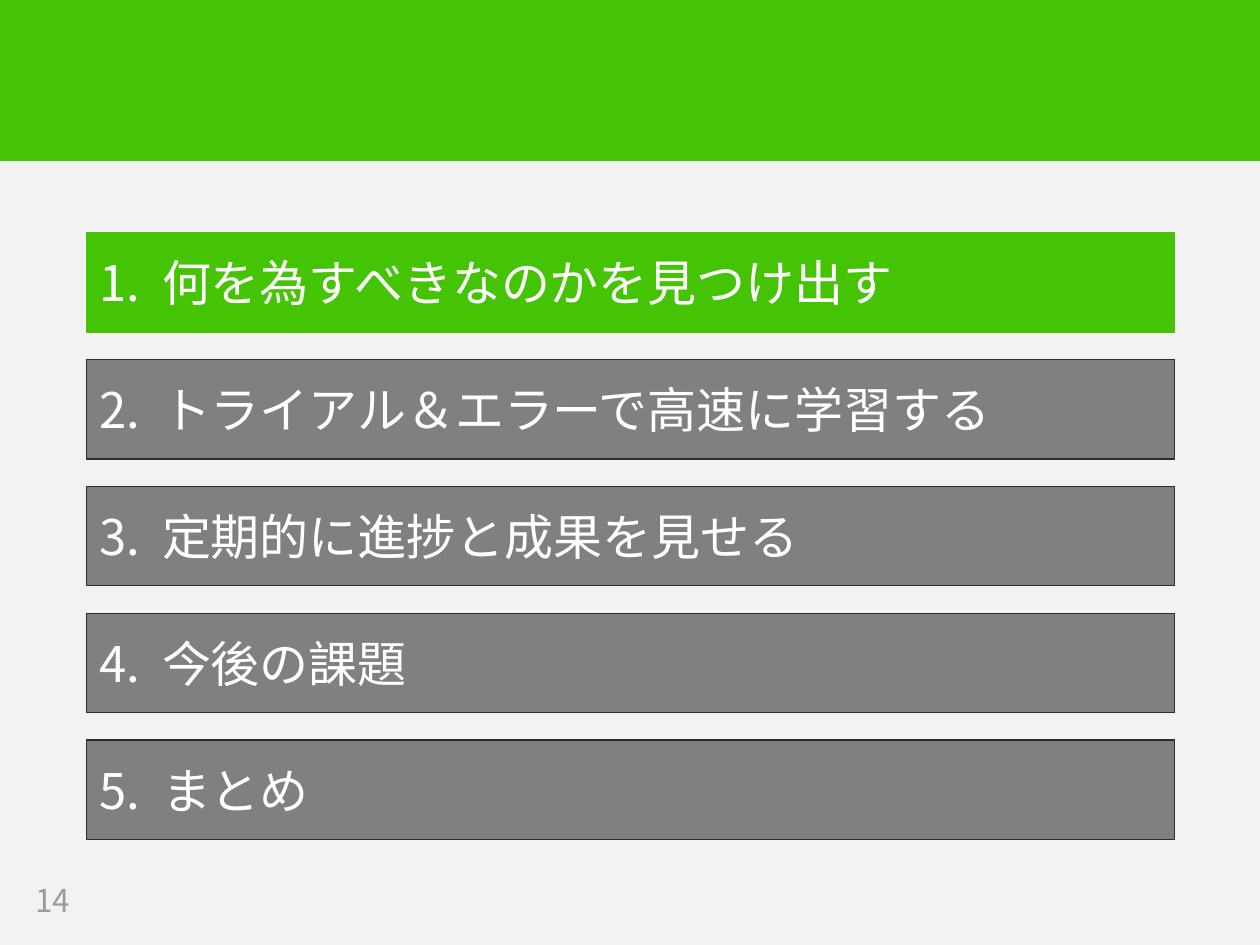
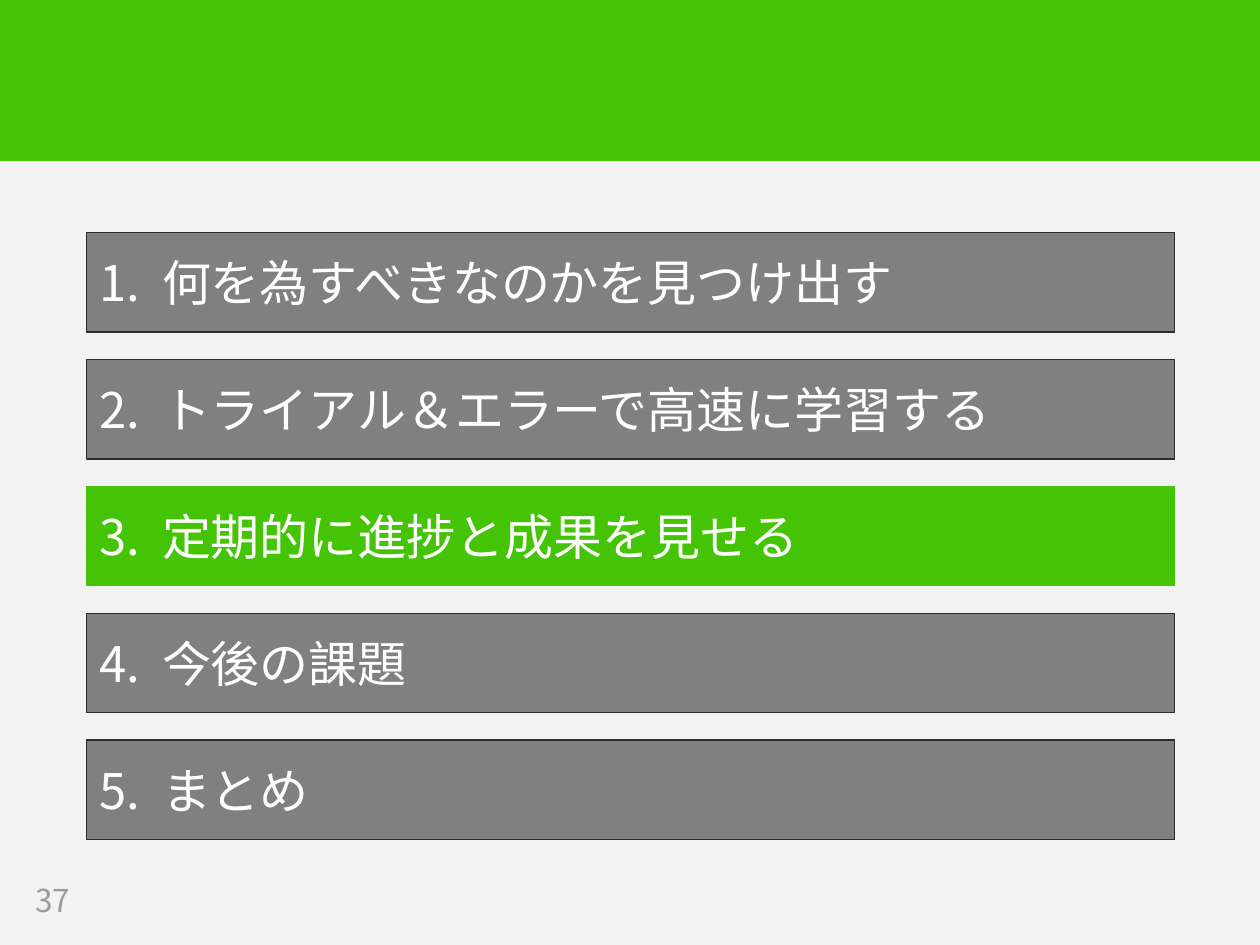
from lxml import etree
from pptx import Presentation
from pptx import util as u
from pptx.dml.color import RGBColor
from pptx.enum import shapes, text
from pptx.oxml import ns

FONT = "Noto Sans CJK JP"
GREEN, GREY, EDGE = "44C404", "808080", "2C2C2C"
PAPER, WHITE, NUMBER_GREY = "F2F2F2", "FFFFFF", "9B9B9B"

# Boxes are left, top, width, height in points
PAGE_SIZE = (720, 540)
BAND_BOX = (0, -0.72, 720, 92.16)
AGENDA_BOX = (49.5, 132.9, 621.5, 346.9)
NUMBER_BOX = (13, 500.4, 56.9, 28)
BAR_HEIGHT = 56.9
TITLE_TAB = 36

CHAPTERS = [
    "何を為すべきなのかを見つけ出す",
    "トライアル＆エラーで高速に学習する",
    "定期的に進捗と成果を見せる",
    "今後の課題",
    "まとめ",
]
# Page number and the chapter that begins there
DIVIDERS = [(14, 1), (37, 3)]


def colour(value):
    return RGBColor.from_string(value)


def points(box):
    return [u.Pt(length) for length in box]


def add_bar(page, box, fill, edge, width):
    bar = page.shapes.add_shape(shapes.MSO_SHAPE.RECTANGLE, *points(box))
    bar.shadow.inherit = False
    bar.fill.solid()
    bar.fill.fore_color.rgb = colour(fill)
    bar.line.color.rgb = colour(edge)
    bar.line.width = u.Pt(width)
    return bar


def write(shape, words, size, ink):
    frame = shape.text_frame
    frame.word_wrap = True
    frame.vertical_anchor = text.MSO_ANCHOR.MIDDLE
    para = frame.paragraphs[0]
    para.alignment = text.PP_ALIGN.LEFT
    span = para.add_run()
    span.text = words
    span.font.name = FONT
    span.font.size = u.Pt(size)
    span.font.color.rgb = colour(ink)
    # Japanese characters take the East Asian typeface
    latin = span.font._element.find(ns.qn("a:latin"))
    latin.addnext(etree.Element(ns.qn("a:ea"), typeface=FONT))
    return para


def set_tab(para, position):
    stops = etree.SubElement(para._p.get_or_add_pPr(), ns.qn("a:tabLst"))
    etree.SubElement(stops, ns.qn("a:tab"), pos=str(u.Pt(position)), algn="l")


def add_agenda(page, box, current):
    left, top, width, height = box
    step = (height - BAR_HEIGHT) / (len(CHAPTERS) - 1)
    for index, chapter in enumerate(CHAPTERS):
        number = index + 1
        fill, edge = (GREEN, GREEN) if number == current else (GREY, EDGE)
        bar_box = (left, top + index * step, width, BAR_HEIGHT)
        bar = add_bar(page, bar_box, fill, edge, 0.75)
        para = write(bar, f"{number}.\t{chapter}", 28, WHITE)
        set_tab(para, TITLE_TAB)


def add_page_number(page, box, number):
    write(page.shapes.add_textbox(*points(box)), str(number), 18, NUMBER_GREY)


def add_divider(deck, number, current):
    page = deck.slides.add_slide(deck.slide_layouts[6])
    page.background.fill.solid()
    page.background.fill.fore_color.rgb = colour(PAPER)
    add_bar(page, BAND_BOX, GREEN, GREEN, 1)
    add_page_number(page, NUMBER_BOX, number)
    add_agenda(page, AGENDA_BOX, current)


def main():
    deck = Presentation()
    deck.slide_width, deck.slide_height = points(PAGE_SIZE)
    for number, current in DIVIDERS:
        add_divider(deck, number, current)
    deck.save("out.pptx")


if __name__ == "__main__":
    main()
